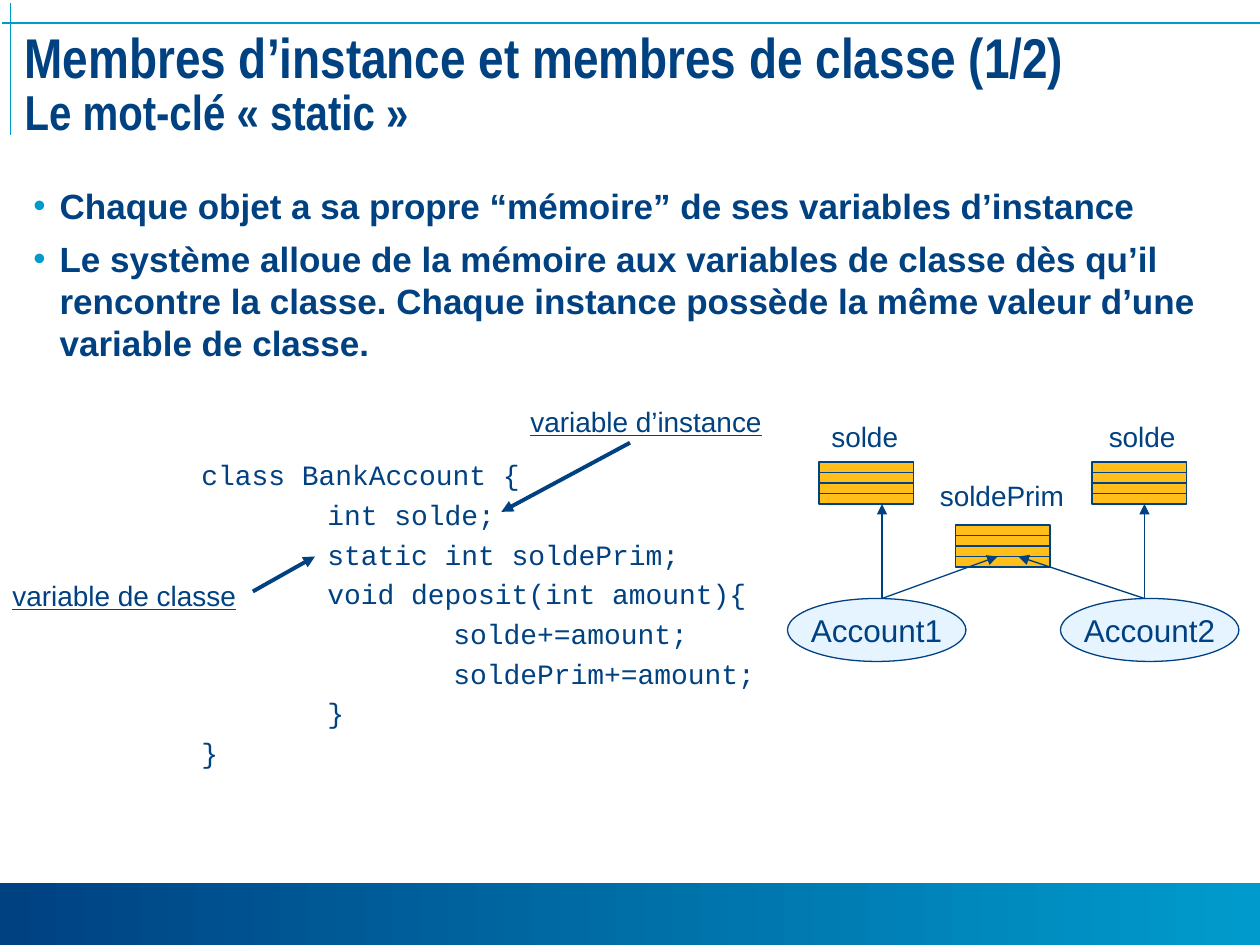
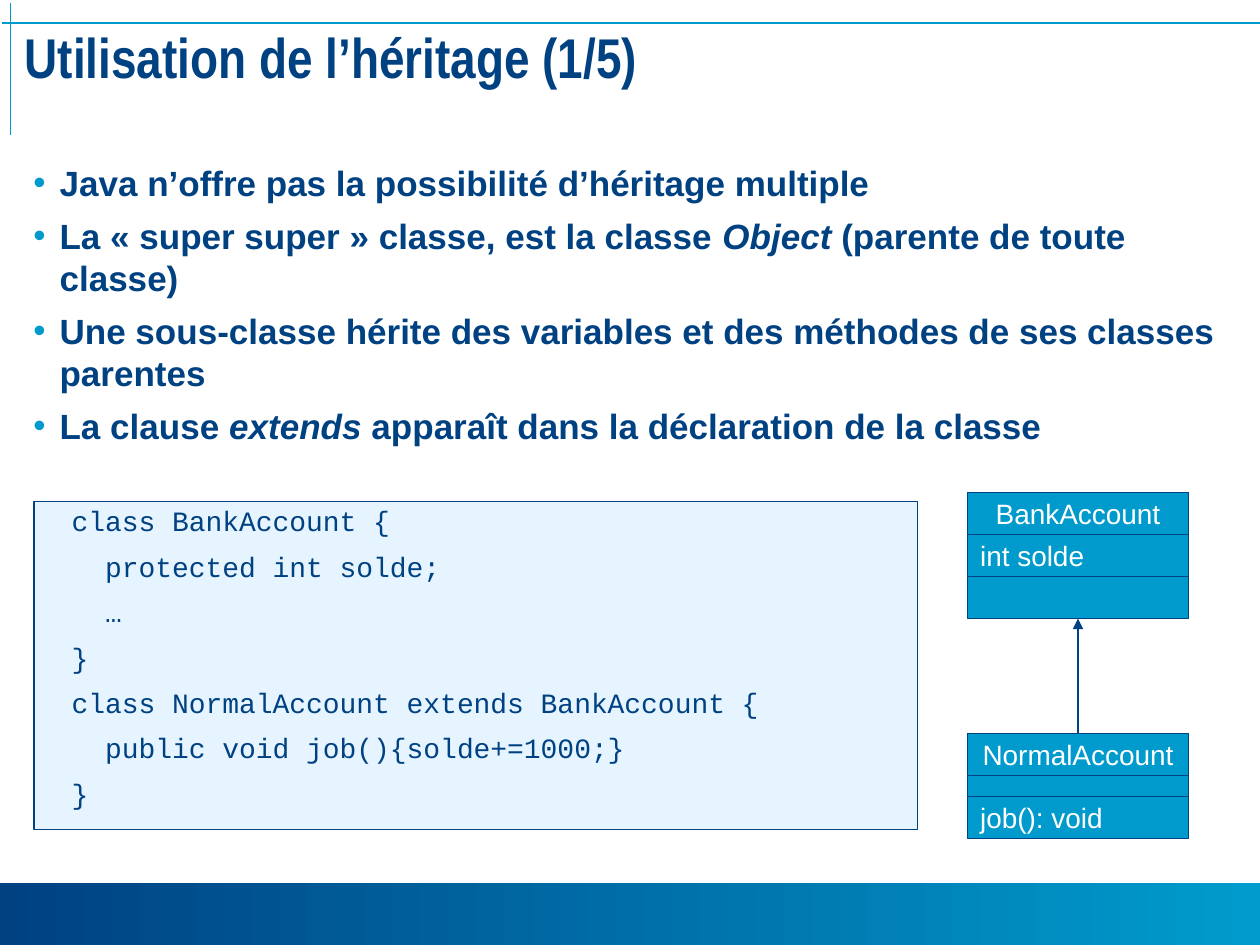
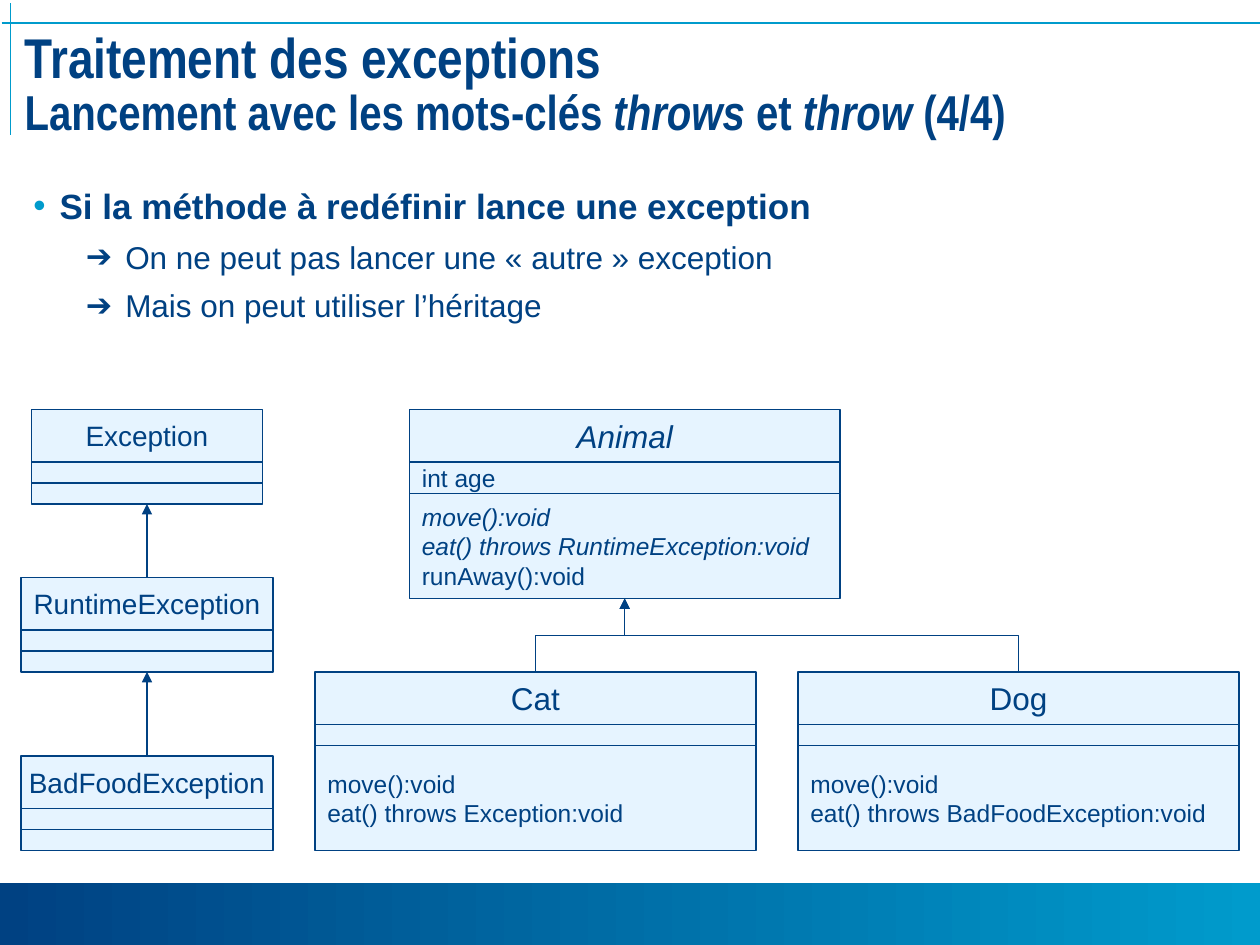
"""Build three slides of a Java course: class members, inheritance and exceptions."""
from lxml.etree import SubElement as Sub
from pptx import Presentation
from pptx.dml.color import RGBColor
from pptx.enum.shapes import MSO_CONNECTOR as Conn, MSO_SHAPE as Kind
from pptx.enum.text import MSO_ANCHOR as Anchor, PP_ALIGN as Align
from pptx.oxml.ns import qn
from pptx.util import Pt

NAVY = RGBColor(0x00, 0x41, 0x82)
CYAN = RGBColor(0x00, 0x9B, 0xCC)
PALE = RGBColor(0xE6, 0xF4, 0xFF)
GOLD = RGBColor(0xFF, 0xBE, 0x19)
WHITE = RGBColor(0xFF, 0xFF, 0xFF)
LEVELS = [("•", CYAN, 15, 15, 20, True), ("➔", NAVY, 52.5, 22.5, 18, False)]


def put(slide, text, x, y, w, h, kind=None, fill=PALE, size=16, sub=None, font="Arial",
        color=NAVY, bold=False, under=False, align=Align.LEFT, anchor=Anchor.TOP,
        wrap=False, gap=0, lead=None, left=0, marks=False, pad=3.6):
    """Add a box; lines split paragraphs, stars set italics, tabs set depth."""
    area = Pt(x), Pt(y), Pt(w), Pt(h)
    if kind is None:
        box = slide.shapes.add_textbox(*area)
    else:
        box = slide.shapes.add_shape(kind, *area)
        box.shadow.inherit = False
        box.fill.solid()
        box.fill.fore_color.rgb = fill
        box.line.color.rgb = NAVY
        box.line.width = Pt(0.75)
    frame = box.text_frame
    frame.word_wrap = wrap
    frame.vertical_anchor = anchor
    frame.margin_top = frame.margin_bottom = Pt(pad)
    for i, row in enumerate(text.split("\n")):
        para = frame.add_paragraph() if i else frame.paragraphs[0]
        body = row.lstrip("\t")
        depth = len(row) - len(body)
        props = para._p.get_or_add_pPr()
        props.set("marL", str(Pt(left + 72 * depth)))
        points, heavy = (sub if sub and i else size), bold
        if marks:
            sign, tint, inset, hang, points, heavy = LEVELS[depth]
            props.set("marL", str(Pt(inset)))
            props.set("indent", str(-Pt(hang)))
            Sub(Sub(props, qn("a:buClr")), qn("a:srgbClr"), val=str(tint))
            Sub(props, qn("a:buFont"), typeface="Arial")
            Sub(props, qn("a:buChar"), char=sign)
        para.alignment = align
        if lead:
            para.line_spacing = lead
        if i and gap:
            para.space_before = Pt(gap)
        for n, part in enumerate(body.split("*")):
            if part:
                run = para.add_run()
                run.text = part
                run.font.name, run.font.size = font, Pt(points)
                run.font.bold, run.font.italic = heavy, n % 2 == 1
                run.font.underline = under
                run.font.color.rgb = color
    return box


def link(slide, x1, y1, x2, y2, color=NAVY, width=0.75, head=True, kind=Conn.STRAIGHT):
    """Add a line, with an arrowhead at its end if asked."""
    line = slide.shapes.add_connector(kind, Pt(x1), Pt(y1), Pt(x2), Pt(y2))
    line.line.color.rgb = color
    line.line.width = Pt(width)
    if head:
        Sub(line.line._get_or_add_ln(), qn("a:tailEnd"), type="triangle")
    Sub(line._element.spPr, qn("a:effectLst"))
    return line


deck = Presentation()
deck.slide_width, deck.slide_height = Pt(720), Pt(540)

pages = [
    ("Membres d’instance et membres de classe (1/2)\nLe mot-clé « static »", 102,
     "Chaque objet a sa propre “mémoire” de ses variables d’instance\n"
     "Le système alloue de la mémoire aux variables de classe dès qu’il rencontre la classe. "
     "Chaque instance possède la même valeur d’une variable de classe."),
    ("Utilisation de l’héritage (1/5)", 88.5,
     "Java n’offre pas la possibilité d’héritage multiple\n"
     "La « super super » classe, est la classe *Object* (parente de toute classe)\n"
     "Une sous-classe hérite des variables et des méthodes de ses classes parentes\n"
     "La clause *extends* apparaît dans la déclaration de la classe"),
    ("Traitement des exceptions\n"
     "Lancement avec les mots-clés *throws* et *throw* (4/4)", 102,
     "Si la méthode à redéfinir lance une exception\n"
     "\tOn ne peut pas lancer une « autre » exception\n"
     "\tMais on peut utiliser l’héritage"),
]
for title, top, points in pages:
    slide = deck.slides.add_slide(deck.slide_layouts[6])
    band = put(slide, "", 0, 504.7, 720, 35.3, kind=Kind.RECTANGLE)
    band.line.fill.background()
    band.fill.gradient()
    band.fill.gradient_angle = 0
    for stop, tint in zip(band.fill.gradient_stops, (NAVY, CYAN)):
        stop.color.rgb = tint
    link(slide, 1, 13, 720, 13, color=CYAN, width=1, head=False)
    link(slide, 6, 2, 6, 77, color=CYAN, width=1, head=False)
    put(slide, title, 7, 16, 708, 73, size=32, sub=28, font="Arial Narrow", bold=True,
        lead=0.85, wrap=True, pad=2.9)
    put(slide, points, 12, top, 696, 468 - top, marks=True, gap=6.3, wrap=True)

static, heirs, errors = deck.slides

code = """class BankAccount {
\tint solde;
\tstatic int soldePrim;
\tvoid deposit(int amount){
\t\tsolde+=amount;
\t\tsoldePrim+=amount;
\t}
}"""
put(static, code, 108, 258, 340, 217, font="Courier New", gap=3.5, wrap=True)
put(static, "variable d’instance", 296, 227.5, 147, 26.6, under=True)
put(static, "variable de classe", 0, 327, 142.5, 26.6, under=True)
for name, x in (("Account1", 450), ("Account2", 606)):
    put(static, name, x, 342, 102, 36, kind=Kind.OVAL, size=18, align=Align.CENTER,
        anchor=Anchor.MIDDLE)
for x, y in ((468, 264), (624, 264), (546, 300)):
    for n in range(4):
        put(static, "", x, y + 6 * n, 54, 6, kind=Kind.RECTANGLE, fill=GOLD)
for name, x, y, w in (("solde", 468, 236, 52.5), ("solde", 626.5, 236, 52.5),
                      ("soldePrim", 530, 270, 85.5)):
    put(static, name, x, y, w, 26.6)
for x, mid in ((504, 570), (654, 582)):
    link(static, x, 342, x, 288)
    link(static, x, 342, mid, 318)
link(static, 360, 253, 286.5, 292.5, width=2.25)
link(static, 144.5, 338, 180, 318, width=2.25)

code = """class BankAccount {
  protected int solde;
  …
}
class NormalAccount extends BankAccount {
  public void job(){solde+=1000;}
}"""
put(heirs, code, 19.5, 286.5, 505, 187.5, kind=Kind.RECTANGLE, font="Courier New",
    lead=0.9, gap=8.7, left=14.4, wrap=True)

boxes = [
    (heirs, 553, 281.5, 126, 16, 16, (("BankAccount", 24), ("int solde", 24), ("", 24))),
    (heirs, 553, 419.2, 126, 16, 16, (("NormalAccount", 24), ("", 12), ("job(): void", 24))),
    (errors, 234, 234, 246, 18, 14, (
        ("*Animal*", 30), ("int age", 18),
        ("*move():void*\n*eat() throws RuntimeException:void*\nrunAway():void", 60))),
    (errors, 456, 384, 252, 18, 14, (
        ("Dog", 30), ("", 12), ("move():void\neat() throws BadFoodException:void", 60))),
    (errors, 180, 384, 252, 18, 14, (
        ("Cat", 30), ("", 12), ("move():void\neat() throws Exception:void", 60))),
    (errors, 18, 234, 132, 16, 14, (("Exception", 30), ("", 12), ("", 12))),
    (errors, 12, 330, 144, 16, 14, (("RuntimeException", 30), ("", 12), ("", 12))),
    (errors, 12, 432, 144, 16, 14, (("BadFoodException", 30), ("", 12), ("", 12))),
]
ends = {}
for slide, x, y, w, large, small, rows in boxes:
    cells = []
    for n, (text, h) in enumerate(rows):
        cells.append(put(
            slide, text, x, y, w, h, kind=Kind.RECTANGLE, anchor=Anchor.MIDDLE,
            fill=CYAN if slide is heirs else PALE, color=WHITE if slide is heirs else NAVY,
            size=small if n else large, align=Align.LEFT if n else Align.CENTER))
        y += h
    ends[rows[0][0]] = cells[0], cells[-1]

for slide, child, parent in ((heirs, "NormalAccount", "BankAccount"),
                             (errors, "RuntimeException", "Exception"),
                             (errors, "BadFoodException", "RuntimeException")):
    line = link(slide, 0, 0, 0, 0)
    line.begin_connect(ends[child][0], 0)
    line.end_connect(ends[parent][1], 2)

tip, foot, rise = 357, 384, 42
for x in (582, 306):
    mid, level, run = (x + tip) / 2, foot - rise / 2, abs(x - tip)
    line = link(errors, mid - rise / 2, level - run / 2, mid + rise / 2, level + run / 2,
                kind=Conn.ELBOW)
    turn = line._element.spPr.find(qn("a:xfrm"))
    turn.set("rot", str((90 if x > tip else 270) * 60000))
    if x > tip:
        turn.set("flipH", "1")

deck.save("out.pptx")
